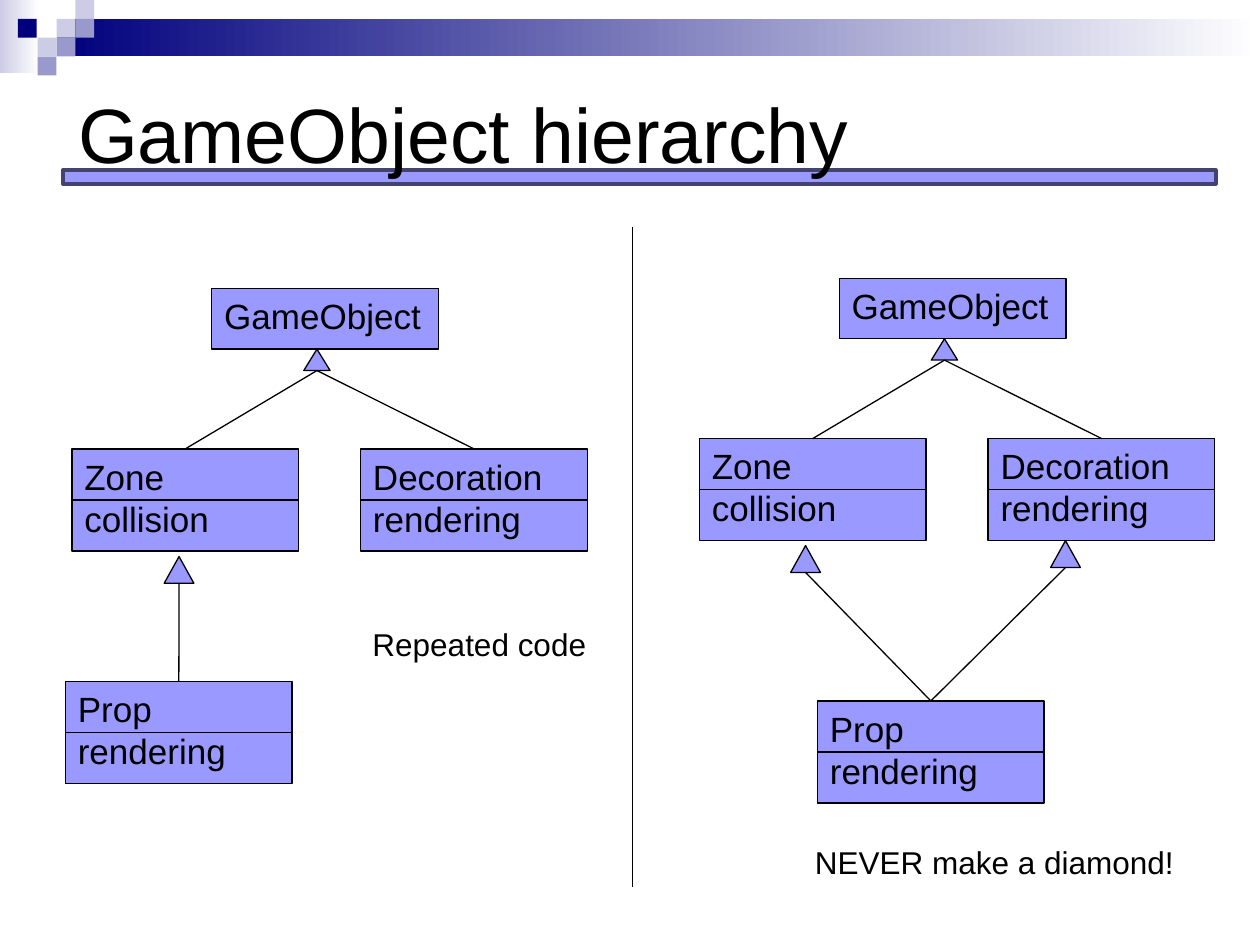
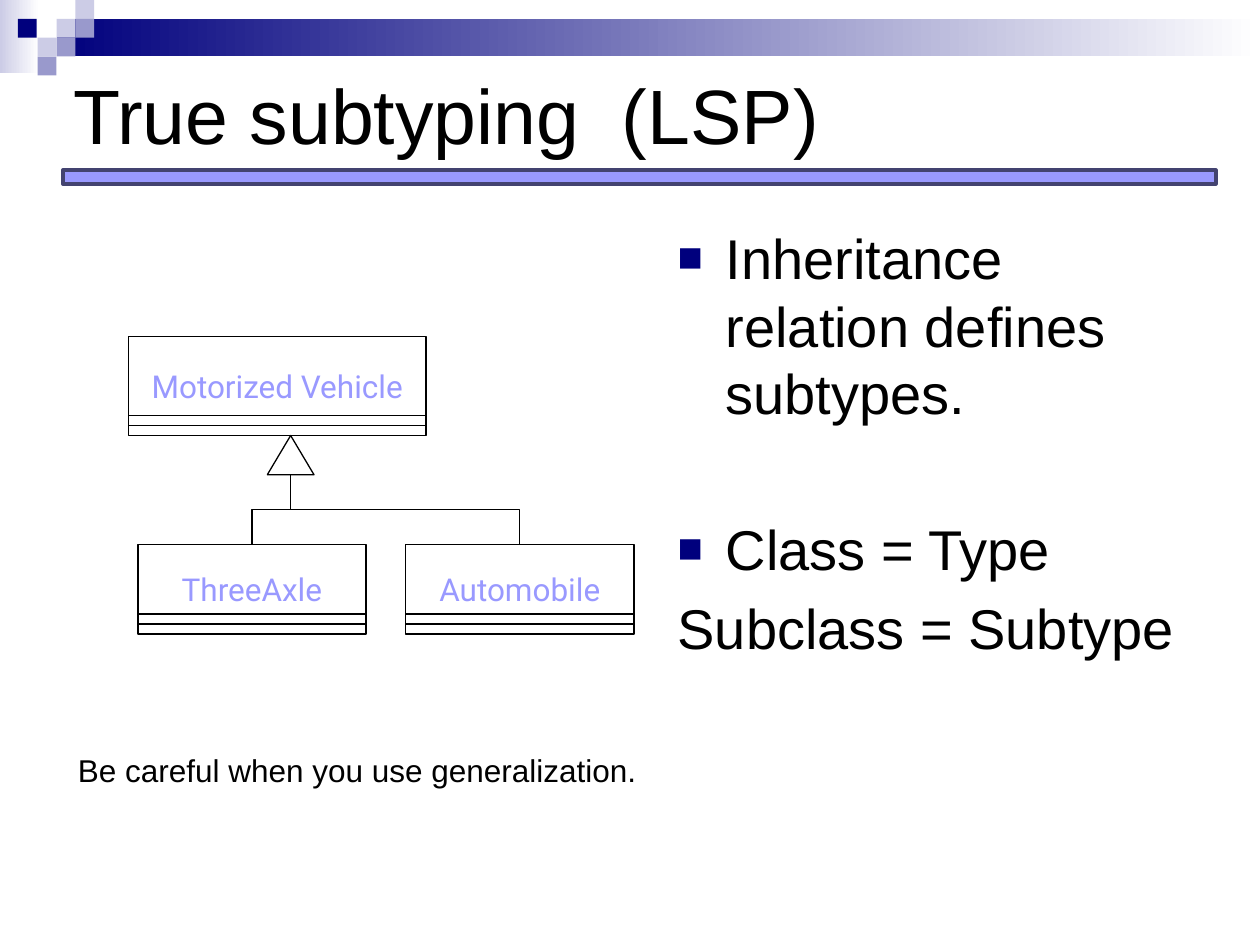
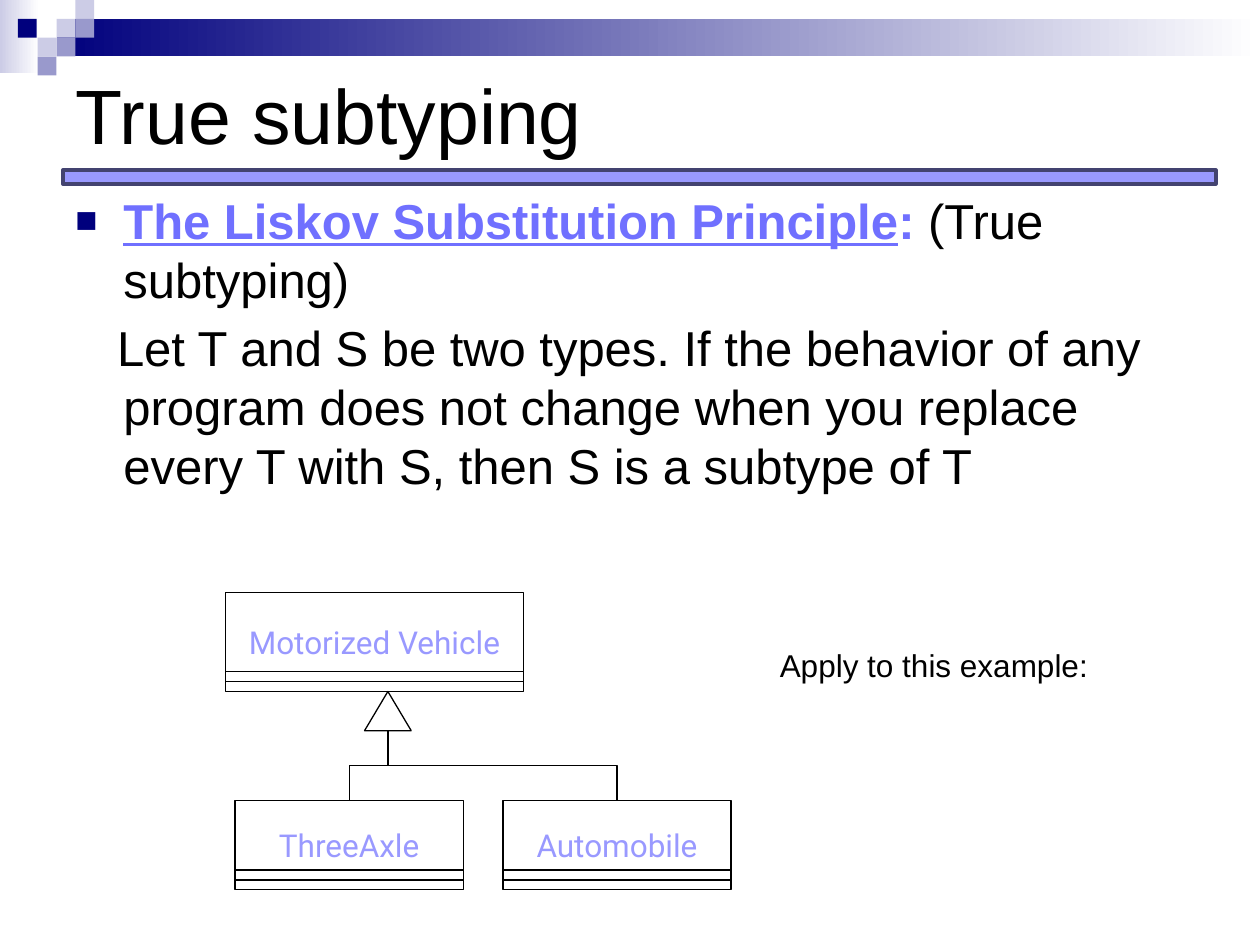
from dataclasses import dataclass

import lxml.etree
import pptx
import pptx.dml.color
import pptx.enum.shapes
import pptx.enum.text
import pptx.oxml.ns
import pptx.util

Cm = pptx.util.Cm
SHAPE = pptx.enum.shapes.MSO_SHAPE
LINE = pptx.enum.shapes.MSO_CONNECTOR
ALIGN = pptx.enum.text.PP_ALIGN
ANCHOR = pptx.enum.text.MSO_ANCHOR
FIT = pptx.enum.text.MSO_AUTO_SIZE


@dataclass(frozen=True)
class Theme:
    """Colours, fonts and type sizes of the deck."""
    ink: str = "000000"
    paper: str = "FFFFFF"
    navy: str = "00007D"
    slate: str = "9999CC"
    mist: str = "CCCCE6"
    accent: str = "9999FF"
    edge: str = "434370"
    term: str = "7070FF"
    font: str = "Arial"
    uml_font: str = "Roboto"
    title: int = 44
    body: int = 32
    definition: int = 28
    uml: int = 20
    note: int = 18
    hairline: float = 0.75


T = Theme()


def rgb(color):
    """Return the colour object of a hex string."""
    return pptx.dml.color.RGBColor.from_string(color)


def sub(parent, tag, **attrs):
    """Append a DrawingML element."""
    return lxml.etree.SubElement(parent, pptx.oxml.ns.qn(tag), attrs)


def write(tf, text, size=T.note, font=T.font, color=T.ink, bold=None,
          underline=None, align=ALIGN.LEFT, join=False):
    """Write text as a new paragraph, or join it to the last one."""
    p = tf.paragraphs[-1]
    if p.runs and not join:
        p = tf.add_paragraph()
    p.alignment = align
    r = p.add_run()
    r.text = text
    r.font.size = pptx.util.Pt(size)
    r.font.name = font
    r.font.bold = bold
    r.font.underline = underline
    r.font.color.rgb = rgb(color)
    return p


def indent(p, size, first=-0.97, before=None, bullet=False):
    """Give a body paragraph its hanging indent, spacing and bullet."""
    p.space_before = pptx.util.Pt(size * 0.2 if before is None else before)
    pPr = p._p.get_or_add_pPr()
    pPr.set("marL", str(Cm(0.97)))
    pPr.set("indent", str(Cm(first)))
    if bullet:
        sub(sub(pPr, "a:buClr"), "a:srgbClr", val=T.navy)
        sub(pPr, "a:buSzPct", val="75000")
        sub(pPr, "a:buFont", typeface=T.font)
        sub(pPr, "a:buChar", char="■")
    else:
        sub(pPr, "a:buNone")


def shape(s, kind, x, y, w, h, fill=None, line=None, width=T.hairline):
    """Add a preset shape with a solid, gradient or empty fill."""
    sp = s.shapes.add_shape(kind, Cm(x), Cm(y), Cm(w), Cm(h))
    sp.shadow.inherit = False
    if fill is None:
        sp.fill.background()
    elif isinstance(fill, tuple):
        sp.fill.gradient()
        sp.fill.gradient_angle = 0
        for stop, color in zip(sp.fill.gradient_stops, fill):
            stop.color.rgb = rgb(color)
    else:
        sp.fill.solid()
        sp.fill.fore_color.rgb = rgb(fill)
    if line:
        sp.line.color.rgb = rgb(line)
        sp.line.width = pptx.util.Pt(width)
    else:
        sp.line.fill.background()
    return sp


def connector(s, x1, y1, x2, y2, kind=LINE.STRAIGHT):
    """Add a thin black connector."""
    c = s.shapes.add_connector(kind, Cm(x1), Cm(y1), Cm(x2), Cm(y2))
    c.line.color.rgb = rgb(T.ink)
    c.line.width = pptx.util.Pt(T.hairline)
    sub(c.element.spPr, "a:effectLst")
    return c


def elbow(s, x1, y1, x2, y2):
    """Add a bent connector that leaves downwards and arrives downwards."""
    w, h = y2 - y1, abs(x2 - x1)
    x, y = (x1 + x2 - w) / 2, (y1 + y2 - h) / 2
    c = connector(s, x, y, x + w, y + h, LINE.ELBOW)
    xfrm = c.element.spPr.xfrm
    xfrm.set("rot", str((270 if x2 > x1 else 90) * 60000))
    if x2 > x1:
        xfrm.set("flipH", "1")


def textbox(s, x, y, w, h, wrap=True):
    """Add a text box and return its text frame."""
    tf = s.shapes.add_textbox(Cm(x), Cm(y), Cm(w), Cm(h)).text_frame
    tf.word_wrap = wrap
    tf.auto_size = FIT.NONE if wrap else FIT.SHAPE_TO_FIT_TEXT
    return tf


def note(s, text, x, y, w):
    """Add a one-line remark."""
    write(textbox(s, x, y, w, 1.02, wrap=False), text)


def title_slide(prs, text, x, y):
    """Add a slide with its title placed at x, y."""
    s = prs.slides.add_slide(prs.slide_layouts[5])
    sp = s.shapes.title
    sp.left, sp.top, sp.width, sp.height = Cm(x), Cm(y), Cm(22.86), Cm(3.81)
    tf = sp.text_frame
    tf.vertical_anchor = ANCHOR.MIDDLE
    tf.auto_size = FIT.NONE
    write(tf, text, size=T.title)
    return s


def decorate_master(prs, s):
    """Draw the header band, mosaic and title bar and move them to the master."""
    u = 0.38
    parts = [shape(s, SHAPE.RECTANGLE, 0, 0, 0.79, 1.47, (T.mist, T.paper)),
             shape(s, SHAPE.RECTANGLE, 3 * u, u, 24.26, 2 * u, (T.navy, T.paper))]
    mosaic = [(3, 1, T.mist), (4, 0, T.mist), (4, 1, T.slate), (2, 2, T.mist),
              (0.95, 1, T.navy), (3, 2, T.slate), (2, 3, T.slate)]
    parts += [shape(s, SHAPE.RECTANGLE, col * u, row * u, u, u, color)
              for col, row, color in mosaic]
    parts.append(shape(s, SHAPE.RECTANGLE, 1.27, 3.43, 23.24, 0.28,
                       T.accent, T.edge, 2))
    for n, sp in enumerate(parts, start=100):
        sp.element.nvSpPr.cNvPr.id = n
        prs.slide_master.shapes.element.append(sp.element)


def class_box(s, x, y, name, member=None):
    """Add a filled class box, split in half when it has a member."""
    w, h = 4.57, 2.06 if member else 1.22
    sp = shape(s, SHAPE.RECTANGLE, x, y, w, h, T.accent, T.ink)
    tf = sp.text_frame
    tf.vertical_anchor = ANCHOR.TOP
    write(tf, name, size=T.uml)
    if member:
        write(tf, member, size=T.uml)
        c = connector(s, x, y + h / 2, x + w, y + h / 2)
        c.begin_connect(sp, 1)
        c.end_connect(sp, 3)
    return sp


def inherit(s, x, y, children, w=0.6, h=0.54):
    """Add an inheritance triangle with its tip at x, y and lines to children."""
    shape(s, SHAPE.ISOSCELES_TRIANGLE, x - w / 2, y, w, h, T.accent, T.ink)
    for child in children:
        connector(s, x, y + h, x, y + h + 1).end_connect(child, 0)


def game_tree(s, x, y):
    """Draw GameObject with its two subclasses."""
    class_box(s, x + 2.82, y, "GameObject")
    children = [class_box(s, x + 5.82, y + 4.06 - 0.83, "Decoration", "rendering"),
                class_box(s, x, y + 4.06 - 0.83, "Zone", "collision")]
    inherit(s, x + 4.94, y + 1.22, children, 0.53, 0.43)


def compartment_box(s, x, y, w, h, name):
    """Add an unfilled class box with two empty compartments."""
    tf = shape(s, SHAPE.RECTANGLE, x, y, w, h, line=T.ink).text_frame
    tf.vertical_anchor = ANCHOR.MIDDLE
    tf.word_wrap = False
    write(tf, name, font=T.uml_font, color=T.accent, align=ALIGN.CENTER)
    for up in (0.4, 0.2):
        connector(s, x, y + h - up, x + w, y + h - up)


def vehicle_tree(s, x, y):
    """Draw Motorized Vehicle with its two subclasses."""
    tip, w, h, top = x + 3.27, 0.94, 0.79, y + 4.2
    compartment_box(s, x, y, 6, 2, "Motorized Vehicle")
    shape(s, SHAPE.ISOSCELES_TRIANGLE, tip - w / 2, y + 2, w, h, line=T.ink)
    for dx, name in ((0.19, "ThreeAxle"), (5.59, "Automobile")):
        compartment_box(s, x + dx, top, 4.6, 1.8, name)
        elbow(s, tip, y + 2 + h, x + dx + 2.3, top)


def hierarchy_slide(prs):
    """Build the slide with two GameObject hierarchies."""
    s = title_slide(prs, "GameObject hierarchy", 1.32, 0.76)
    game_tree(s, 1.45, 5.82)
    inherit(s, 3.61, 11.22, [class_box(s, 1.32, 13.74, "Prop", "rendering")])
    note(s, "Repeated code", 7.26, 12.47, 4.85)
    game_tree(s, 14.1, 5.61)
    prop = class_box(s, 16.48, 14.13, "Prop", "rendering")
    inherit(s, 16.24, 11, [prop])
    inherit(s, 21.48, 10.9, [prop])
    note(s, "NEVER make a diamond!", 16.18, 16.87, 7.82)
    connector(s, 12.75, 4.57, 12.75, 17.88)
    return s


def subtyping_slide(prs):
    """Build the slide on inheritance and subtypes."""
    s = title_slide(prs, "True subtyping  (LSP)", 1.22, 0.38)
    tf = textbox(s, 13.41, 4.39, 10.57, 13.51)
    for text, before, bullet in (
            ("Inheritance relation defines subtypes.", None, True),
            ("Class = Type", 51, True),
            ("Subclass = Subtype", None, False)):
        indent(write(tf, text, size=T.body), T.body, before=before, bullet=bullet)
    vehicle_tree(s, 2.59, 6.78)
    note(s, "Be careful when you use generalization.", 1.32, 15.01, 11.76)


def principle_slide(prs):
    """Build the slide that states the substitution principle."""
    s = title_slide(prs, "True subtyping", 1.27, 0.38)
    tf = textbox(s, 1.27, 3.71, 22.86, 12.6)
    size = T.definition
    p = write(tf, "The Liskov Substitution Principle", size=size, color=T.term,
              bold=True, underline=True)
    write(tf, ": ", size=size, color=T.term, bold=True, join=True)
    write(tf, "(True subtyping)", size=size, join=True)
    indent(p, size, bullet=True)
    p = write(tf, "Let T and S be two types. If the behavior of any program does "
              "not change when you replace every T with S, then S is a subtype of T",
              size=size)
    indent(p, size, first=-0.13)
    vehicle_tree(s, 4.55, 11.94)
    note(s, "Apply to this example:", 15.47, 12.9, 6.73)


def main():
    """Build and save the deck."""
    prs = pptx.Presentation()
    prs.slide_width, prs.slide_height = Cm(25.4), Cm(19.05)
    decorate_master(prs, hierarchy_slide(prs))
    subtyping_slide(prs)
    principle_slide(prs)
    prs.save("out.pptx")


if __name__ == "__main__":
    main()
